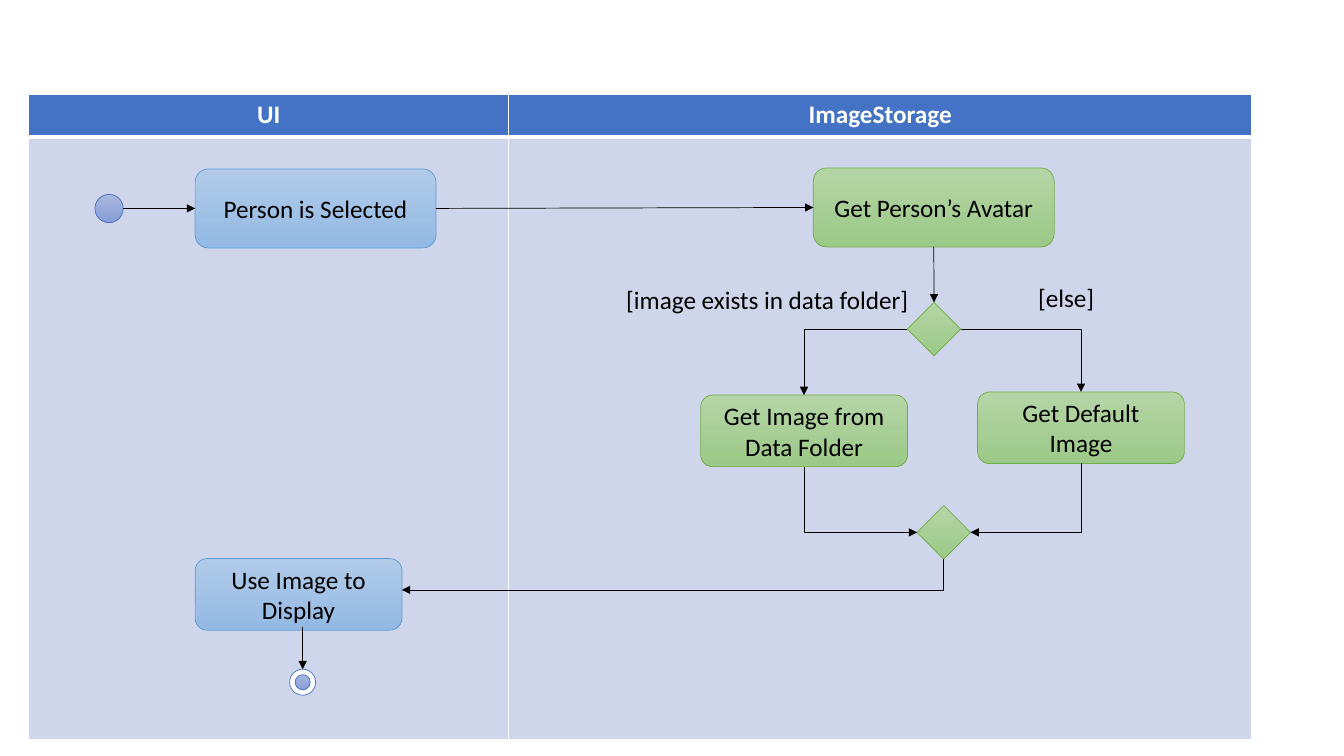
import pptx
import pptx.dml.color
import pptx.enum.shapes
import pptx.enum.text
import pptx.oxml
import pptx.oxml.ns
import pptx.util
from lxml import etree

Pt = pptx.util.Pt
SHAPES = pptx.enum.shapes.MSO_SHAPE
CONNECTORS = pptx.enum.shapes.MSO_CONNECTOR
CENTER = pptx.enum.text.PP_ALIGN.CENTER
MIDDLE = pptx.enum.text.MSO_ANCHOR.MIDDLE

BLACK, WHITE = "000000", "FFFFFF"
HEADER_FILL, LANE_FILL = "4472C4", "CFD5EA"

# Gradient top, gradient bottom, outline
INDIGO = ("A8B7DF", "889ED7", "4472C4")
BLUE = ("B1CBE9", "93B9E4", "5B9BD5")
GREEN = ("B5D5A7", "9CC987", "70AD47")
PLAIN = (WHITE, WHITE, "4472C4")

# Connection sites of rectangles and diamonds
TOP, LEFT, BOTTOM, RIGHT = range(4)

WIDE_BOX = (172, 56.4)
SMALL_BOX = (147.7, 51.1)
DIAMOND = (38.2, 38.2)


def color(value):
    return pptx.dml.color.RGBColor.from_string(value)


def write_text(text_frame, text, text_color=BLACK, alignment=None, bold=False):
    paragraph = text_frame.paragraphs[0]
    paragraph.text = text
    paragraph.alignment = alignment
    formats = {"name": "Calibri", "size": Pt(18), "bold": bold}
    for name, value in formats.items():
        setattr(paragraph.font, name, value)
    paragraph.font.color.rgb = color(text_color)


def add_node(shapes, kind, position, size, palette, text=""):
    shape = shapes.add_shape(kind, *map(Pt, position + size))
    shape.shadow.inherit = False
    top_color, bottom_color, line_color = palette
    if top_color == bottom_color:
        shape.fill.solid()
        shape.fill.fore_color.rgb = color(top_color)
    else:
        shape.fill.gradient()
        shape.fill.gradient_angle = 270
        for stop, value in zip(shape.fill.gradient_stops, (top_color, bottom_color)):
            stop.color.rgb = color(value)
    shape.line.color.rgb = color(line_color)
    shape.line.width = Pt(0.5)
    if text:
        shape.text_frame.word_wrap = True
        shape.text_frame.vertical_anchor = MIDDLE
        write_text(shape.text_frame, text, alignment=CENTER)
    return shape


def add_label(slide, text, left, top, width):
    box = slide.shapes.add_textbox(Pt(left), Pt(top), Pt(width), Pt(29))
    box.text_frame.word_wrap = True
    write_text(box.text_frame, text)


def locate(end):
    """Return the point of an end given as (shape, side) or as (x, y) in points."""
    place, side = end
    if isinstance(place, (int, float)):
        return Pt(place), Pt(side)
    x_share, y_share = {TOP: (1, 0), LEFT: (0, 1), BOTTOM: (1, 2), RIGHT: (2, 1)}[side]
    return place.left + place.width * x_share // 2, place.top + place.height * y_share // 2


def can_glue(end):
    """Ellipses number their connection sites differently, so they stay loose."""
    place = end[0]
    return hasattr(place, "auto_shape_type") and place.auto_shape_type != SHAPES.OVAL


def add_arrow(slide, start, finish, bent=False):
    """Draw an arrow; a bent one has a single corner."""
    # The one-corner preset leaves its first end horizontally.
    reverse = bent and start[1] == BOTTOM
    first, last = (finish, start) if reverse else (start, finish)
    kind = CONNECTORS.ELBOW if bent else CONNECTORS.STRAIGHT
    connector = slide.shapes.add_connector(kind, *locate(first), *locate(last))
    if can_glue(first):
        connector.begin_connect(*first)
    if can_glue(last):
        connector.end_connect(*last)
    connector.line.color.rgb = color(BLACK)
    connector.line.width = Pt(0.5)
    properties = connector._element.spPr
    if bent:
        properties.find(pptx.oxml.ns.qn("a:prstGeom")).set("prst", "bentConnector2")
    arrow_tag = "a:headEnd" if reverse else "a:tailEnd"
    line = properties.find(pptx.oxml.ns.qn("a:ln"))
    etree.SubElement(line, pptx.oxml.ns.qn(arrow_tag), type="triangle")
    etree.SubElement(properties, pptx.oxml.ns.qn("a:effectLst"))


def set_borders(cell, widths):
    properties = cell._tc.get_or_add_tcPr()
    for index, (side, width) in enumerate(widths.items()):
        border = pptx.oxml.parse_xml(
            f'<a:{side} {pptx.oxml.ns.nsdecls("a")} w="{Pt(width)}"><a:solidFill>'
            f'<a:srgbClr val="{WHITE}"/></a:solidFill></a:{side}>'
        )
        properties.insert(index, border)


def add_swimlanes(slide, titles, widths, heights):
    frame = slide.shapes.add_table(
        len(heights), len(titles), Pt(20.5), Pt(67.2), Pt(sum(widths)), Pt(sum(heights))
    )
    table = frame.table
    for row, height in zip(table.rows, heights):
        row.height = Pt(height)
    for index, (title, width) in enumerate(zip(titles, widths)):
        table.columns[index].width = Pt(width)
        header, lane = table.cell(0, index), table.cell(1, index)
        write_text(header.text_frame, title, WHITE, CENTER, bold=True)
        for cell, fill, top, bottom in (
            (header, HEADER_FILL, 1, 3),
            (lane, LANE_FILL, 3, 1),
        ):
            cell.fill.solid()
            cell.fill.fore_color.rgb = color(fill)
            set_borders(cell, {"lnL": 1, "lnR": 1, "lnT": top, "lnB": bottom})


def main():
    presentation = pptx.Presentation()
    presentation.slide_width, presentation.slide_height = Pt(960), Pt(540)
    slide = presentation.slides.add_slide(presentation.slide_layouts[6])
    shapes = slide.shapes

    add_swimlanes(slide, ("UI", "ImageStorage"), (343, 530.6), (30.8, 430))

    box, diamond, circle = SHAPES.ROUNDED_RECTANGLE, SHAPES.DIAMOND, SHAPES.OVAL
    start = add_node(shapes, circle, (67.8, 138.8), (20.2, 20.2), INDIGO)
    selected = add_node(shapes, box, (139.4, 120.7), WIDE_BOX, BLUE, "Person is Selected")
    avatar = add_node(shapes, box, (581, 120), WIDE_BOX, GREEN, "Get Person’s Avatar")
    decision = add_node(shapes, diamond, (648.1, 216), DIAMOND, GREEN)
    from_folder = add_node(
        shapes, box, (500.5, 282.2), SMALL_BOX, GREEN, "Get Image from Data Folder"
    )
    default = add_node(shapes, box, (698.3, 280), SMALL_BOX, GREEN, "Get Default Image")
    merge = add_node(shapes, diamond, (655.1, 361.2), DIAMOND, GREEN)
    display = add_node(shapes, box, (139.4, 399), SMALL_BOX, BLUE, "Use Image to Display")
    final = shapes.add_group_shape()
    add_node(final.shapes, circle, (206.9, 478), (18.6, 18.6), PLAIN)
    add_node(final.shapes, circle, (210.8, 481.9), (10.8, 10.8), INDIGO)

    add_label(slide, "[image exists in data folder]", 440.2, 199.5, 218)
    add_label(slide, "[else]", 734.4, 198.4, 57)

    add_arrow(slide, (start, RIGHT), (selected, LEFT))
    add_arrow(slide, (selected, RIGHT), (avatar, LEFT))
    add_arrow(slide, (avatar, BOTTOM), (decision, TOP))
    add_arrow(slide, (decision, LEFT), (from_folder, TOP), bent=True)
    add_arrow(slide, (decision, RIGHT), (default, TOP), bent=True)
    add_arrow(slide, (from_folder, BOTTOM), (merge, LEFT), bent=True)
    add_arrow(slide, (default, BOTTOM), (merge, RIGHT), bent=True)
    add_arrow(slide, (merge, BOTTOM), (287.1, 421.4), bent=True)
    add_arrow(slide, (216.2, 448), (final, TOP))

    presentation.save("out.pptx")


if __name__ == "__main__":
    main()
